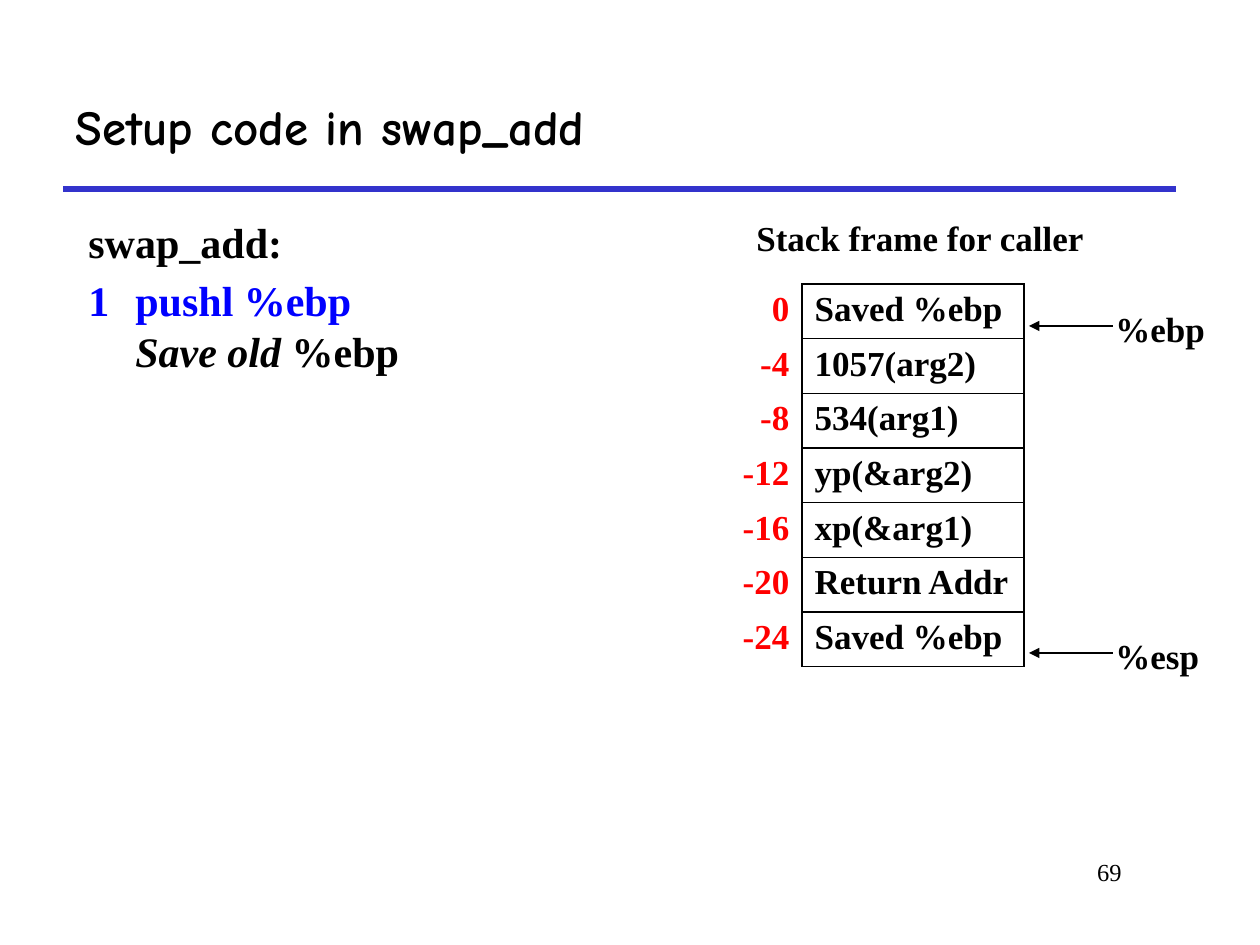
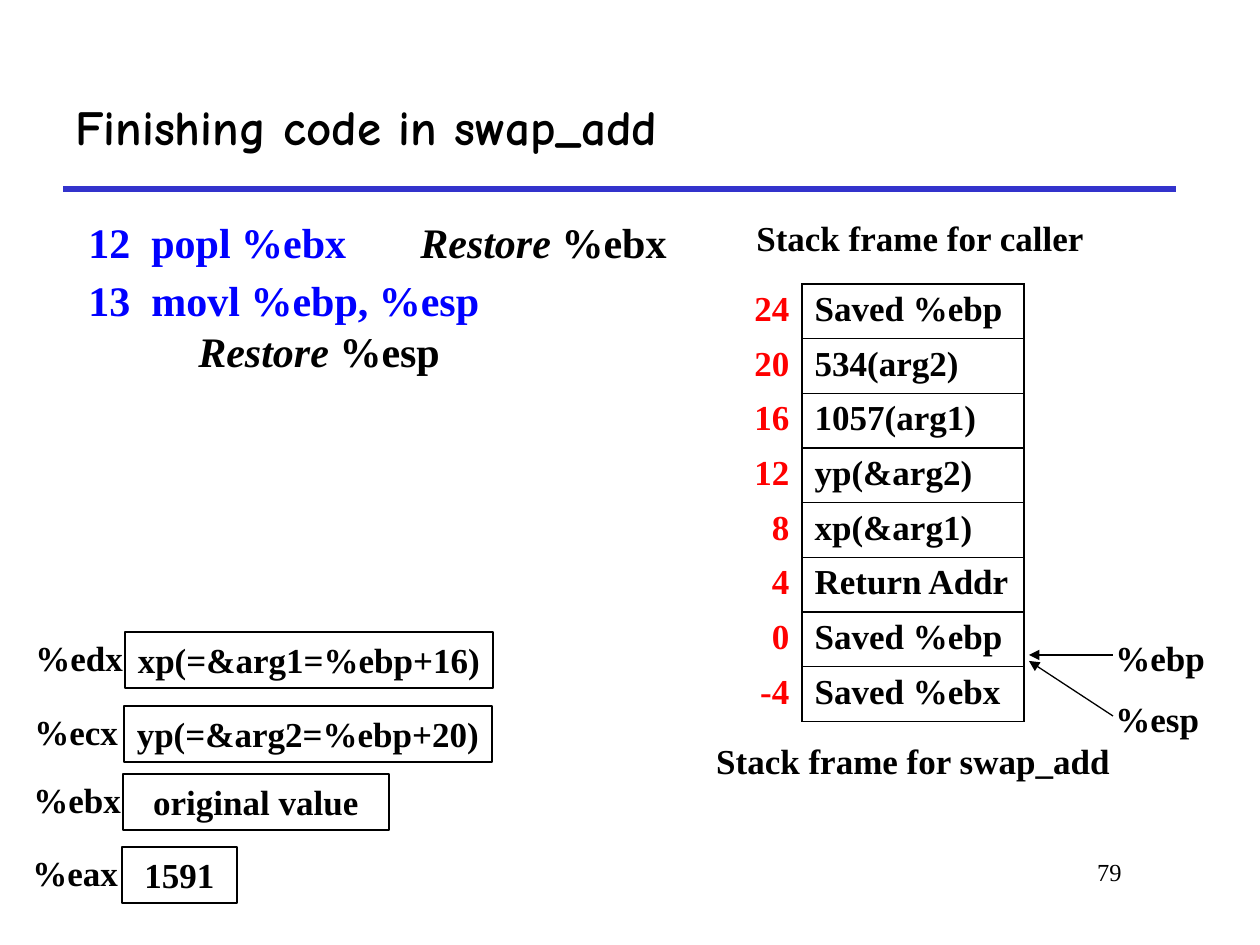
from dataclasses import dataclass

import lxml.etree
import pptx
import pptx.dml.color
import pptx.enum.shapes
import pptx.enum.text
import pptx.oxml
import pptx.oxml.ns
import pptx.util

ALIGN = pptx.enum.text.PP_ALIGN
ANCHOR = pptx.enum.text.MSO_ANCHOR
qn = pptx.oxml.ns.qn
EMU_PER_PX = 914400 / 126


@dataclass(frozen=True)
class Theme:
    black: str = "000000"
    code: str = "0000FF"
    offset: str = "FF0000"
    rule: str = "3333CC"
    title_font: str = "Comic Neue"
    body_font: str = "Times New Roman"
    title_size: int = 28
    code_size: int = 24
    body_size: int = 20
    number_size: int = 14
    rule_width: float = 3
    thin_width: float = 0.75
    cell_width: float = 1


@dataclass(frozen=True)
class Box:
    left: int
    top: int
    width: int
    height: int

    def emu(self):
        return [px(n) for n in (self.left, self.top, self.width, self.height)]


THEME = Theme()


def px(length):
    return pptx.util.Emu(round(length * EMU_PER_PX))


def rgb(color):
    return pptx.dml.color.RGBColor.from_string(color)


# Text and line helpers
def style_run(run, size=THEME.body_size, color=THEME.black, bold=True,
              italic=False, font=THEME.body_font):
    run.font.name = font
    run.font.size = pptx.util.Pt(size)
    run.font.bold = bold
    run.font.italic = italic
    run.font.color.rgb = rgb(color)


def space_before(paragraph, percent=20):
    spacing = lxml.etree.SubElement(paragraph._p.get_or_add_pPr(), qn("a:spcBef"))
    lxml.etree.SubElement(spacing, qn("a:spcPct"), val=str(percent * 1000))


def set_tabs(paragraph, stops):
    tabs = lxml.etree.SubElement(paragraph._p.get_or_add_pPr(), qn("a:tabLst"))
    for stop in stops:
        lxml.etree.SubElement(tabs, qn("a:tab"), pos=str(px(stop)), algn="l")


def set_text(text_frame, text, align=ALIGN.LEFT, spaced=True, **style):
    text_frame.text = text
    paragraph = text_frame.paragraphs[0]
    paragraph.alignment = align
    if spaced:
        space_before(paragraph)
    style_run(paragraph.runs[0], **style)


def add_text(slide, box, text, wrap=True, anchor=ANCHOR.TOP, **style):
    shape = slide.shapes.add_textbox(*box.emu())
    shape.text_frame.word_wrap = wrap
    shape.text_frame.vertical_anchor = anchor
    set_text(shape.text_frame, text, **style)


def add_line(slide, start, end, color, width, arrow=False):
    line = slide.shapes.add_connector(
        pptx.enum.shapes.MSO_CONNECTOR.STRAIGHT, *map(px, (*start, *end)))
    line.line.color.rgb = rgb(color)
    line.line.width = pptx.util.Pt(width)
    if arrow:
        lxml.etree.SubElement(line.line._get_or_add_ln(), qn("a:tailEnd"), type="triangle")
    lxml.etree.SubElement(line._element.spPr, qn("a:effectLst"))


# Shared frame: title, rule and slide number
def add_frame(slide, box, title, number):
    add_text(slide, Box(box.left, box.top, box.width, 126), title,
             anchor=ANCHOR.MIDDLE, spaced=False, size=THEME.title_size,
             font=THEME.title_font)
    rule_top = box.top + 126
    add_line(slide, (box.left, rule_top), (box.left + box.width, rule_top),
             THEME.rule, THEME.rule_width)
    add_text(slide, Box(box.left + 892, box.top + 788, 179, 63), str(number),
             align=ALIGN.RIGHT, spaced=False, size=THEME.number_size, bold=False)


# Code listing: paragraphs of lines, lines of (text, color, italic) runs
def add_code(slide, box, paragraphs, stops):
    text_frame = slide.shapes.add_textbox(*box.emu()).text_frame
    text_frame.word_wrap = True
    for index, lines in enumerate(paragraphs):
        paragraph = text_frame.add_paragraph() if index else text_frame.paragraphs[0]
        space_before(paragraph)
        set_tabs(paragraph, stops)
        for line_index, runs in enumerate(lines):
            if line_index:
                paragraph.add_line_break()
            for text, color, italic in runs:
                run = paragraph.add_run()
                run.text = text
                style_run(run, THEME.code_size, color, italic=italic)


def instruction(text):
    return (text, THEME.code, False)


def remark(verb, register):
    return [(verb + " ", THEME.black, True), (register, THEME.black, False)]


# Stack table with offsets on its left
def set_borders(cell, visible_sides):
    properties = cell._tc.get_or_add_tcPr()
    for side in "LRTB":
        border = lxml.etree.SubElement(
            properties, qn(f"a:ln{side}"), w=str(pptx.util.Pt(THEME.cell_width)))
        if side in visible_sides:
            fill = lxml.etree.SubElement(border, qn("a:solidFill"))
            lxml.etree.SubElement(fill, qn("a:srgbClr"), val=THEME.black)
        else:
            lxml.etree.SubElement(border, qn("a:noFill"))
    cell.fill.background()


def add_stack(slide, box, entries):
    add_text(slide, Box(box.left + 10, box.top - 74, 370, 54),
             "Stack frame for caller", align=ALIGN.CENTER)
    table = slide.shapes.add_table(len(entries), 2, *box.emu()).table
    table.first_row = table.horz_banding = False
    offset_width = 77
    table.columns[0].width = px(offset_width)
    table.columns[1].width = px(box.width - offset_width)
    for row, (offset, value) in enumerate(entries):
        table.rows[row].height = px(box.height / len(entries))
        offset_cell, value_cell = table.cell(row, 0), table.cell(row, 1)
        set_text(offset_cell.text_frame, str(offset), ALIGN.RIGHT, color=THEME.offset)
        set_text(value_cell.text_frame, value)
        set_borders(offset_cell, "R")
        set_borders(value_cell, "LRTB")


# Register pointer to the right of the stack
def add_pointer(slide, stack_box, register, start_y, tip_y):
    right = stack_box.left + stack_box.width
    add_text(slide, Box(right + 79, start_y - 25, 115, 54), register, wrap=False)
    add_line(slide, (right + 89, start_y), (right + 5, tip_y),
             THEME.black, THEME.thin_width, arrow=True)


# Register with its value in a frame
def add_register(slide, box, register, value):
    frame = slide.shapes.add_shape(
        pptx.enum.shapes.MSO_SHAPE.RECTANGLE, *box.emu())
    frame.shadow.inherit = False
    frame.fill.background()
    frame.line.color.rgb = rgb(THEME.black)
    frame.line.width = pptx.util.Pt(THEME.thin_width)
    frame.text_frame.word_wrap = False
    frame.text_frame.vertical_anchor = ANCHOR.TOP
    set_text(frame.text_frame, value, ALIGN.CENTER)
    add_text(slide, Box(box.left - 102, box.top - 2, 113, 54), register, wrap=False)


FRAME_BOX = Box(63, 63, 1113, 851)
CODE_BOX = Box(76, 210, 649, 175)


def build_setup(slide):
    add_frame(slide, FRAME_BOX, "Setup code in swap_add", 69)
    stack_box = Box(725, 284, 299, 383)
    values = ["Saved %ebp", "1057(arg2)", "534(arg1)", "yp(&arg2)",
              "xp(&arg1)", "Return Addr", "Saved %ebp"]
    add_stack(slide, stack_box, list(zip(range(0, -28, -4), values)))
    add_code(slide, CODE_BOX, [
        [[("swap_add:", THEME.black, False)]],
        [[instruction("1\tpushl %ebp")],
         [instruction("\t"), *remark("Save old", "%ebp")]],
    ], stops=[47])
    add_pointer(slide, stack_box, "%ebp", 326, 326)
    add_pointer(slide, stack_box, "%esp", 653, 653)


def build_finish(slide):
    add_frame(slide, FRAME_BOX, "Finishing code in swap_add", 79)
    stack_box = Box(725, 284, 299, 437)
    values = ["Saved %ebp", "534(arg2)", "1057(arg1)", "yp(&arg2)",
              "xp(&arg1)", "Return Addr", "Saved %ebp", "Saved %ebx"]
    add_stack(slide, stack_box, list(zip(range(24, -8, -4), values)))
    add_text(slide, Box(703, 733, 420, 54), "Stack frame for swap_add",
             align=ALIGN.CENTER)
    add_code(slide, CODE_BOX, [
        [[instruction("12\tpopl %ebx\t"), *remark("Restore", "%ebx")]],
        [[instruction("13\tmovl %ebp, %esp")],
         [instruction("\t\t"), *remark("Restore", "%esp")]],
    ], stops=[63, 110, 332])
    add_pointer(slide, stack_box, "%esp", 716, 661)
    add_pointer(slide, stack_box, "%ebp", 655, 655)
    for register, value, left, top, width in [
        ("%edx", "xp(=&arg1=%ebp+16)", 125, 632, 368),
        ("%ecx", "yp(=&arg2=%ebp+20)", 124, 706, 368),
        ("%ebx", "original value", 123, 774, 266),
        ("%eax", "1591", 122, 847, 115),
    ]:
        add_register(slide, Box(left, top, width, 56), register, value)


def main():
    presentation = pptx.Presentation()
    presentation.slide_width = px(1260)
    presentation.slide_height = px(945)
    for build in (build_setup, build_finish):
        build(presentation.slides.add_slide(presentation.slide_layouts[6]))
    presentation.save("out.pptx")


if __name__ == "__main__":
    main()
